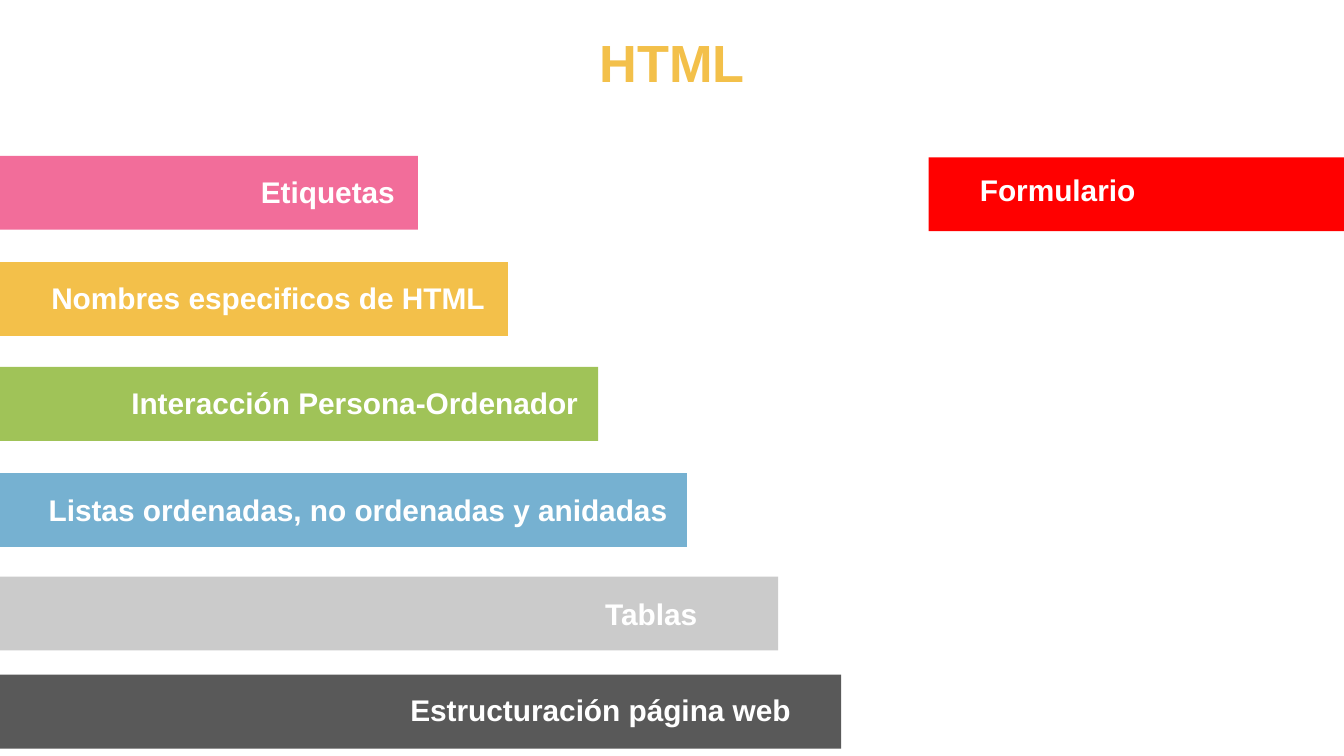
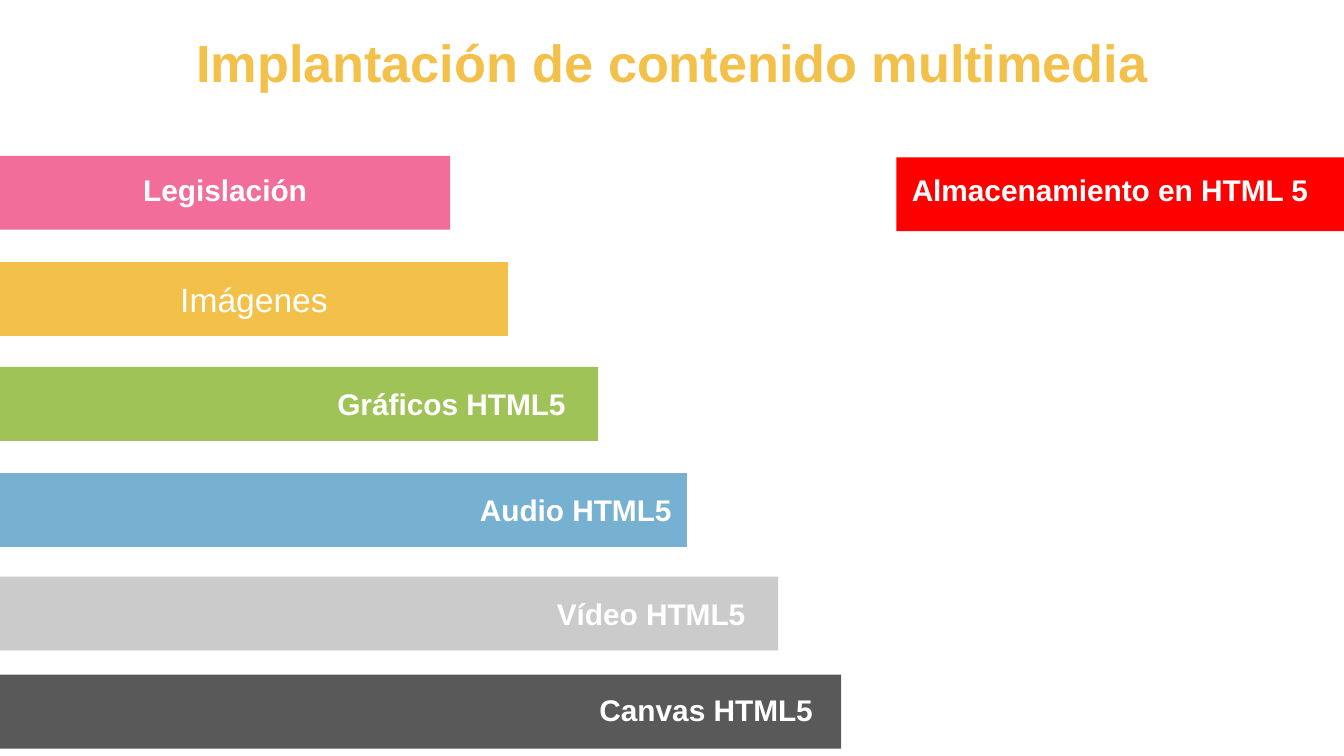
from pptx import Presentation
from pptx.dml.color import RGBColor
from pptx.enum.shapes import MSO_SHAPE
from pptx.enum.text import MSO_ANCHOR, MSO_AUTO_SIZE, PP_ALIGN
from pptx.util import Inches, Pt

RECTANGLE = MSO_SHAPE.RECTANGLE
MIDDLE = MSO_ANCHOR.MIDDLE
GROW = MSO_AUTO_SIZE.SHAPE_TO_FIT_TEXT
CENTER = PP_ALIGN.CENTER

FONT = "Arial"
WHITE = RGBColor(0xFF, 0xFF, 0xFF)
PINK = RGBColor(0xF2, 0x6D, 0x9A)
YELLOW = RGBColor(0xF3, 0xC0, 0x4A)
GREEN = RGBColor(0xA0, 0xC3, 0x58)
BLUE = RGBColor(0x76, 0xB1, 0xD1)
LIGHT_GRAY = RGBColor(0xCB, 0xCB, 0xCB)
DARK_GRAY = RGBColor(0x59, 0x59, 0x59)
RED = RGBColor(0xFF, 0x00, 0x00)

BAR_HEIGHT = 0.55
LABEL_HEIGHT = 0.37
RIGHT_EDGE = 10.02

# Stepped bars shared by both slides: colour, left, top, width
STEPS = [
    (PINK, 0, 1.16, 3.11),
    (YELLOW, 0, 1.95, 3.78),
    (GREEN, 0, 2.73, 4.45),
    (BLUE, -0.01, 3.52, 5.12),
    (LIGHT_GRAY, 0, 4.29, 5.79),
    (DARK_GRAY, 0, 5.02, 6.26),
]

# Each slide: title, width of the top bars, text inside the yellow bar,
# and labels as text, left, top, width, height
SLIDES = [
    ("HTML", 3.11, None, [
        ("Etiquetas", 1.22, 1.24, 2.44, LABEL_HEIGHT),
        ("Nombres especificos de HTML", 0.12, 2.03, 3.75, LABEL_HEIGHT),
        ("Interacción Persona-Ordenador", 0.75, 2.81, 3.78, LABEL_HEIGHT),
        ("Listas ordenadas, no ordenadas y anidadas", 0.12, 3.61, 5.09, LABEL_HEIGHT),
        ("Tablas", 3.82, 4.38, 2.05, LABEL_HEIGHT),
        ("Estructuración página web", 2.72, 5.1, 3.5, LABEL_HEIGHT),
        ("Formulario", 6.65, 1.23, 2.44, LABEL_HEIGHT),
    ]),
    ("Implantación de contenido multimedia", 3.35, "Imágenes", [
        ("Legislación", -0.37, 1.23, 4.09, LABEL_HEIGHT),
        ("Gráficos HTML5", 1.47, 2.82, 3.78, LABEL_HEIGHT),
        ("Audio HTML5", 3.35, 3.61, 1.87, 0.64),
        ("Vídeo HTML5", 3.82, 4.38, 2.05, LABEL_HEIGHT),
        ("Canvas HTML5", 4.29, 5.1, 1.93, LABEL_HEIGHT),
        ("Almacenamiento en HTML 5", 6.49, 1.23, 3.54, LABEL_HEIGHT),
    ]),
]


def write(shape, text, size, color=WHITE, bold=True):
    shape.text_frame.word_wrap = True
    paragraph = shape.text_frame.paragraphs[0]
    paragraph.text = text
    paragraph.alignment = CENTER
    paragraph.font.name = FONT
    paragraph.font.size = Pt(size)
    paragraph.font.bold = bold
    paragraph.font.color.rgb = color


def add_bar(page, color, left, top, width):
    bar = page.shapes.add_shape(
        RECTANGLE, Inches(left), Inches(top), Inches(width), Inches(BAR_HEIGHT))
    bar.shadow.inherit = False
    bar.fill.solid()
    bar.fill.fore_color.rgb = color
    bar.line.fill.background()
    return bar


# Widescreen deck, 16:9
deck = Presentation()
deck.slide_width = Inches(10)
deck.slide_height = deck.slide_width * 9 // 16

for title, top_width, yellow_text, labels in SLIDES:
    page = deck.slides.add_slide(deck.slide_layouts[6])

    # Title
    box = page.shapes.add_textbox(Inches(0), Inches(0.03), Inches(10), Inches(0.85))
    box.text_frame.vertical_anchor = MIDDLE
    write(box, title, 28, YELLOW)

    # Stepped bars, then the red bar on the right
    for color, left, top, width in STEPS:
        bar = add_bar(page, color, left, top, top_width if color == PINK else width)
        if color == YELLOW and yellow_text:
            bar.text_frame.vertical_anchor = MIDDLE
            write(bar, yellow_text, 18, bold=False)
    add_bar(page, RED, RIGHT_EDGE - top_width, 1.17, top_width)

    # Labels
    for text, left, top, width, height in labels:
        box = page.shapes.add_textbox(
            Inches(left), Inches(top), Inches(width), Inches(height))
        box.text_frame.auto_size = GROW
        write(box, text, 16)

deck.save("out.pptx")
